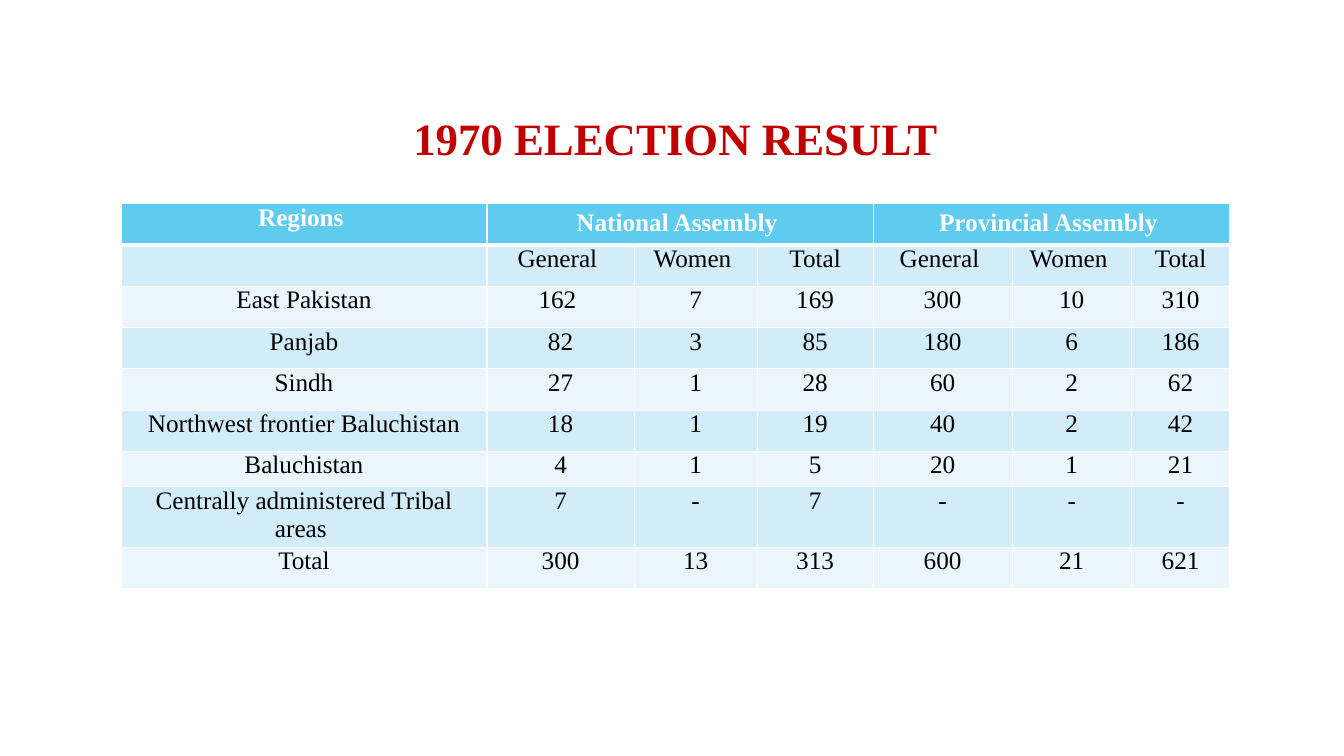
from dataclasses import dataclass
from itertools import product

from lxml.etree import SubElement
from pptx import Presentation
from pptx.dml.color import RGBColor
from pptx.enum.text import MSO_ANCHOR, PP_ALIGN
from pptx.oxml.ns import qn
from pptx.table import _Cell
from pptx.text.text import TextFrame
from pptx.util import Inches, Pt

COLORS = {
    "title": "C00000",
    "header": "5FCBEF",
    "dark_band": "D2ECF9",
    "light_band": "EAF6FC",
    "white": "FFFFFF",
    "black": "000000",
}
COLUMN_WIDTHS = [3.63, 1.46, 1.22, 1.15, 1.38, 1.18, 0.98]
ROW_HEIGHT, BALUCHISTAN_HEIGHT = 0.41, 0.35


@dataclass
class Region:
    name: str
    national: tuple[str, str, str]
    provincial: tuple[str, str, str]


SEAT_KINDS = ("General ", "Women ", "Total")
ROWS = [
    Region("Regions ", ("National Assembly ", "", ""), ("Provincial Assembly ", "", "")),
    Region("", SEAT_KINDS, SEAT_KINDS),
    Region("East Pakistan", ("162 ", "7", "169"), ("300", "10", "310")),
    Region("Panjab", ("82", "3", "85"), ("180", "6", "186")),
    Region("Sindh", ("27", "1", "28"), ("60", "2", "62")),
    Region("Northwest frontier Baluchistan", ("18", "1", "19"), ("40", "2", "42")),
    Region("Baluchistan", ("4", "1", "5"), ("20", "1", "21")),
    Region("Centrally administered Tribal areas ", ("7", "-", "7"), ("-", "-", "-")),
    Region("Total", ("300", "13", "313"), ("600", "21", "621")),
]


def write(frame: TextFrame, text: str, *, size: int = 18,
          color: str = "black", bold: bool = False) -> None:
    paragraph = frame.paragraphs[0]
    paragraph.alignment = PP_ALIGN.CENTER
    if not text:
        return
    run = paragraph.add_run()
    run.text = text
    run.font.name = "Times New Roman"
    run.font.size = Pt(size)
    run.font.bold = bold
    run.font.color.rgb = RGBColor.from_string(COLORS[color])


def add_borders(cell: _Cell, top: int = 1, bottom: int = 1) -> None:
    properties = cell._tc.get_or_add_tcPr()
    for side, width in {"L": 1, "R": 1, "T": top, "B": bottom}.items():
        border = SubElement(properties, qn(f"a:ln{side}"), w=str(Pt(width)))
        fill = SubElement(border, qn("a:solidFill"))
        SubElement(fill, qn("a:srgbClr"), val=COLORS["white"])


def band(row: int) -> str:
    if row == 0:
        return "header"
    return "dark_band" if row % 2 else "light_band"


def main() -> None:
    prs = Presentation()
    prs.slide_width, prs.slide_height = Inches(13.33), Inches(7.5)
    slide = prs.slides.add_slide(prs.slide_layouts[6])

    # Title
    title = slide.shapes.add_textbox(Inches(1.2), Inches(1), Inches(11), Inches(0.9)).text_frame
    title.word_wrap = True
    title.margin_top = Inches(0.1)
    write(title, "1970 ELECTION RESULT", size=32, color="title", bold=True)

    # Table grid
    results = slide.shapes.add_table(
        len(ROWS), len(COLUMN_WIDTHS), Inches(1.2), Inches(2.02), Inches(11), Inches(3.63)
    ).table
    for column, width in zip(results.columns, COLUMN_WIDTHS):
        column.width = Inches(width)
    for row, region in zip(results.rows, ROWS):
        row.height = Inches(BALUCHISTAN_HEIGHT if region.name == "Baluchistan" else ROW_HEIGHT)
    for first in (1, 4):
        results.cell(0, first).merge(results.cell(0, first + 2))

    # Cells
    for r, c in product(range(len(ROWS)), range(len(COLUMN_WIDTHS))):
        region, cell, heading = ROWS[r], results.cell(r, c), r == 0
        add_borders(cell, top=3 if r == 1 else 1, bottom=3 if heading else 1)
        cell.fill.solid()
        cell.fill.fore_color.rgb = RGBColor.from_string(COLORS[band(r)])
        cell.vertical_anchor = MSO_ANCHOR.TOP
        if not heading or c == 0:
            cell.margin_left = cell.margin_right = Inches(0.07)
            cell.margin_top = cell.margin_bottom = 0
        write(cell.text_frame, (region.name, *region.national, *region.provincial)[c],
              color="white" if heading else "black", bold=heading)

    prs.save("out.pptx")


if __name__ == "__main__":
    main()
